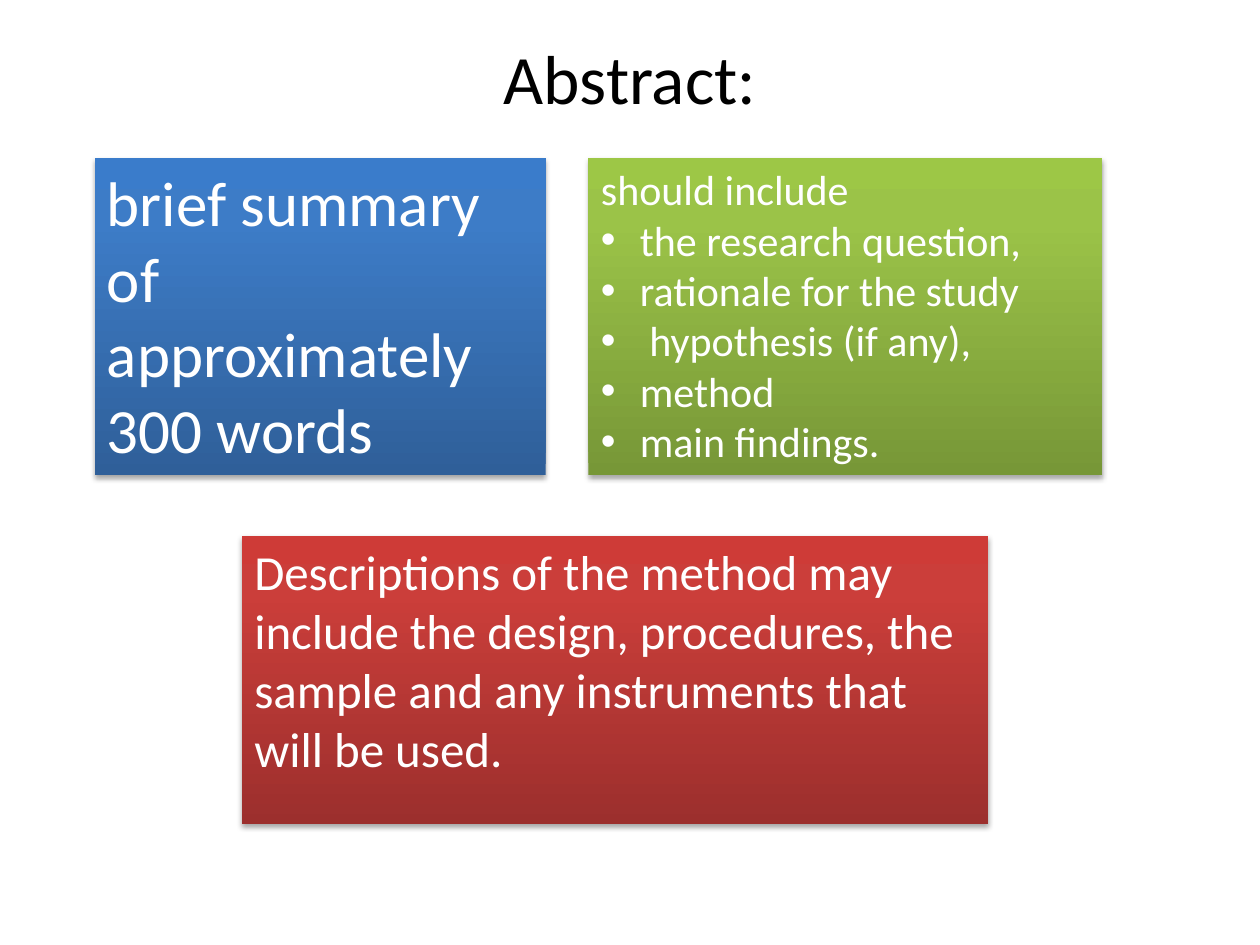
from pptx import Presentation
from pptx.dml.color import RGBColor
from pptx.enum.shapes import MSO_SHAPE
from pptx.enum.text import MSO_ANCHOR, MSO_AUTO_SIZE, PP_ALIGN
from pptx.oxml import parse_xml
from pptx.oxml.ns import nsdecls, qn
from pptx.util import Inches, Pt
from lxml import etree

FONT = "Calibri"
COLORS = {"title": "000000", "text": "FFFFFF", "shadow": "000000"}
GRADIENTS = {
    "blue": ("2F5F99", "3D7CC7", "3A7CCB"),
    "green": ("779737", "9BC348", "9DC746"),
    "red": ("9C2F2D", "CB3E3A", "CE3B37"),
}
STOPS = (0, 80, 100)
INDENT = Inches(0.31)


def style_text(p, size, color):
    for r in p.runs:
        r.font.name = FONT
        r.font.size = Pt(size)
        r.font.color.rgb = RGBColor.from_string(COLORS[color])


def set_gradient(sp, colors):
    stops = "".join(
        f'<a:gs pos="{pos * 1000}"><a:srgbClr val="{color}"/></a:gs>'
        for pos, color in zip(STOPS, colors)
    )
    grad = parse_xml(
        f'<a:gradFill {nsdecls("a")} rotWithShape="1"><a:gsLst>{stops}</a:gsLst>'
        '<a:lin ang="16200000" scaled="0"/></a:gradFill>'
    )
    sp._element.spPr.find(qn("a:prstGeom")).addnext(grad)


def set_shadow(sp):
    sp.shadow.inherit = False
    effects = sp._element.spPr.find(qn("a:effectLst"))
    effects.append(parse_xml(
        f'<a:outerShdw {nsdecls("a")} blurRad="{Pt(3.1)}" dist="{Pt(1.8)}" '
        f'dir="5400000" rotWithShape="0"><a:srgbClr val="{COLORS["shadow"]}">'
        '<a:alpha val="35000"/></a:srgbClr></a:outerShdw>'
    ))


def add_bullet(p):
    pPr = p._p.get_or_add_pPr()
    pPr.set("marL", str(INDENT))
    pPr.set("indent", str(-INDENT))
    etree.SubElement(pPr, qn("a:buFont")).set("typeface", "Arial")
    etree.SubElement(pPr, qn("a:buChar")).set("char", "•")


def add_title(slide, box, text):
    tf = slide.shapes.add_textbox(*map(Inches, box)).text_frame
    tf.word_wrap = True
    tf.vertical_anchor = MSO_ANCHOR.MIDDLE
    p = tf.paragraphs[0]
    p.text = text
    p.alignment = PP_ALIGN.CENTER
    style_text(p, 39.6, "title")


def add_card(slide, box, gradient, size, text, bullets=()):
    sp = slide.shapes.add_shape(MSO_SHAPE.RECTANGLE, *map(Inches, box))
    sp.line.fill.background()
    set_gradient(sp, GRADIENTS[gradient])
    set_shadow(sp)
    tf = sp.text_frame
    tf.word_wrap = True
    tf.auto_size = MSO_AUTO_SIZE.SHAPE_TO_FIT_TEXT
    tf.vertical_anchor = MSO_ANCHOR.TOP
    tf.text = text
    for bullet in bullets:
        p = tf.add_paragraph()
        p.text = bullet
        add_bullet(p)
    for p in tf.paragraphs:
        p.alignment = PP_ALIGN.LEFT
        style_text(p, size, "text")


def main():
    prs = Presentation()
    prs.slide_width, prs.slide_height = Inches(10), Inches(7.5)
    s = prs.slides.add_slide(prs.slide_layouts[6])
    add_title(s, (0.5, 0.3, 9, 0.62), "Abstract:")
    add_card(s, (0.75, 1.25, 3.58, 2.52), "blue", 36,
             "brief summary of approximately 300 words")
    add_card(s, (4.67, 1.25, 4.08, 2.52), "green", 24, "should include", (
        "the research question,",
        "rationale for the study",
        " hypothesis (if any),",
        "method",
        "main findings.",
    ))
    add_card(s, (1.92, 4.25, 5.92, 2.29), "red", 28,
             "Descriptions of the method may include the design, procedures, "
             "the sample and any instruments that will be used.")
    prs.save("out.pptx")


if __name__ == "__main__":
    main()
